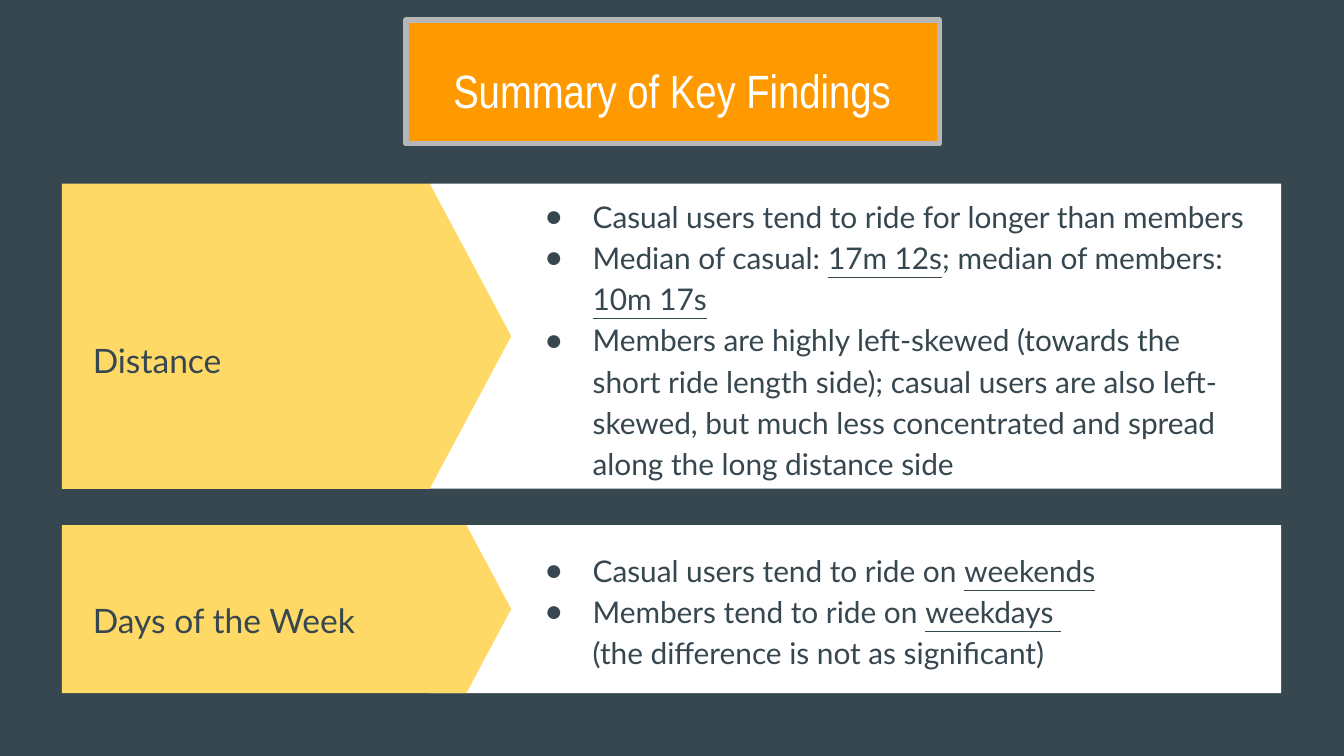
"""Build the key findings slide: a title plate above two labelled rows of bullets."""
from dataclasses import dataclass

from lxml import etree
from pptx import Presentation
from pptx.dml.color import RGBColor
from pptx.enum.shapes import MSO_SHAPE
from pptx.enum.text import MSO_ANCHOR, MSO_AUTO_SIZE, PP_ALIGN
from pptx.oxml.ns import qn
from pptx.util import Pt

RECTANGLE, PENTAGON = MSO_SHAPE.RECTANGLE, MSO_SHAPE.PENTAGON
TOP, MIDDLE = MSO_ANCHOR.TOP, MSO_ANCHOR.MIDDLE
LEFT, CENTER = PP_ALIGN.LEFT, PP_ALIGN.CENTER
NO_AUTO_SIZE = MSO_AUTO_SIZE.NONE
COMPARISON_LAYOUT = 4


@dataclass(frozen=True)
class Theme:
    """Colours, fonts and type sizes."""
    dark: str = "37474F"
    white: str = "FFFFFF"
    yellow: str = "FFD966"
    orange: str = "FF9900"
    gray: str = "B7B7B7"
    title_font: str = "Arial Narrow"
    body_font: str = "Lato"
    title_size: int = 25
    label_size: int = 18
    bullet_size: int = 16


THEME = Theme()
TITLE = "Summary of Key Findings"
ROWS = [
    {
        "label": "Distance", "top": 98.4, "height": 163.5,
        "label_box": (98.4, 188.6), "bullet_box": (101.5, 158.4),
        "bullets": [
            "Casual users tend to ride for longer than members",
            "Median of casual: _17m 12s_; median of members: _10m 17s_",
            "Members are highly left-skewed (towards the short ride length side); "
            "casual users are also left-skewed, but much less concentrated and "
            "spread along the long distance side",
        ],
    },
    {
        "label": "Days of the Week", "top": 281.3, "height": 90,
        "label_box": (287.3, 90), "bullet_box": (281.3, 90),
        "bullets": [
            "Casual users tend to ride on _weekends_",
            "Members tend to ride on _weekdays _\n(the difference is not as significant)",
        ],
    },
]
PANEL_LEFT, PANEL_WIDTH = 230.4, 456
ARROW_LEFT, ARROW_WIDTH = 33.2, 240.7
LABEL_LEFT, LABEL_WIDTH = 42.5, 190.8
BULLET_LEFT, BULLET_WIDTH = 274.3, 402.5


def add_block(slide, kind, box, color):
    """Add a plain filled shape."""
    shape = slide.shapes.add_shape(kind, *map(Pt, box))
    shape.shadow.inherit = False
    shape.fill.solid()
    shape.fill.fore_color.rgb = RGBColor.from_string(color)
    shape.line.fill.background()
    return shape


def place(slide, placeholder, box, anchor):
    """Move a placeholder to its box, in front of the shapes drawn so far."""
    placeholder.left, placeholder.top, placeholder.width, placeholder.height = map(Pt, box)
    slide.shapes.element.append(placeholder.element)
    frame = placeholder.text_frame
    frame.word_wrap = True
    frame.auto_size = NO_AUTO_SIZE
    frame.vertical_anchor = anchor
    frame.margin_left = frame.margin_right = frame.margin_top = frame.margin_bottom = Pt(7.2)
    return frame


def format_paragraph(paragraph, font, size, color, alignment=LEFT, spacing=1.0):
    """Set spacing and type on a paragraph and its runs."""
    paragraph.alignment = alignment
    paragraph.line_spacing = spacing
    paragraph.space_before = Pt(0)
    for run in paragraph.runs:
        run.font.name = font
        run.font.size = Pt(size)
        run.font.bold = False
        run.font.color.rgb = RGBColor.from_string(color)


def add_marked_runs(paragraph, text):
    """Add runs, underlining the parts between underscores."""
    for index, part in enumerate(text.split("_")):
        if part.startswith("\n"):
            paragraph.add_line_break()
        if part:
            run = paragraph.add_run()
            run.text = part.strip("\n")
            run.font.underline = index % 2 == 1


def set_bullet(paragraph):
    """Give a paragraph a hanging round bullet."""
    properties = paragraph._p.get_or_add_pPr()
    properties.set("marL", str(Pt(36)))
    properties.set("indent", str(Pt(-25.6)))
    color = etree.SubElement(properties, qn("a:buClr"))
    etree.SubElement(color, qn("a:srgbClr"), val=THEME.dark)
    etree.SubElement(properties, qn("a:buChar"), char="●")


def add_row(slide, row, label, bullets):
    """Draw one row: white panel, yellow arrow, label and bullets."""
    top, height = row["top"], row["height"]
    add_block(slide, RECTANGLE, (PANEL_LEFT, top, PANEL_WIDTH, height), THEME.white)
    arrow = add_block(slide, PENTAGON, (ARROW_LEFT, top, ARROW_WIDTH, height), THEME.yellow)
    arrow.adjustments[0] = 0.267

    label_top, label_height = row["label_box"]
    frame = place(slide, label, (LABEL_LEFT, label_top, LABEL_WIDTH, label_height), MIDDLE)
    frame.text = row["label"]
    format_paragraph(frame.paragraphs[0], THEME.body_font, THEME.label_size, THEME.dark)

    bullet_top, bullet_height = row["bullet_box"]
    frame = place(slide, bullets, (BULLET_LEFT, bullet_top, BULLET_WIDTH, bullet_height), MIDDLE)
    for index, text in enumerate(row["bullets"]):
        paragraph = frame.add_paragraph() if index else frame.paragraphs[0]
        add_marked_runs(paragraph, text)
        format_paragraph(paragraph, THEME.body_font, THEME.bullet_size, THEME.dark, spacing=1.15)
        set_bullet(paragraph)


def add_title(slide):
    """Draw the title plate and its text."""
    plate = add_block(slide, RECTANGLE, (217.5, 10.8, 285.8, 66.2), THEME.orange)
    plate.line.color.rgb = RGBColor.from_string(THEME.gray)
    plate.line.width = Pt(3)
    frame = place(slide, slide.shapes.title, (173.5, 21.6, 373, 44.6), TOP)
    frame.text = TITLE
    paragraph = frame.paragraphs[0]
    format_paragraph(paragraph, THEME.title_font, THEME.title_size, THEME.white, CENTER, 1.15)
    paragraph.space_after = Pt(16)


def main():
    """Build and save the presentation."""
    presentation = Presentation()
    presentation.slide_width, presentation.slide_height = Pt(720), Pt(405)
    slide = presentation.slides.add_slide(presentation.slide_layouts[COMPARISON_LAYOUT])
    slide.background.fill.solid()
    slide.background.fill.fore_color.rgb = RGBColor.from_string(THEME.dark)
    bodies = [item for item in slide.placeholders if item.placeholder_format.idx in range(1, 5)]
    for row, label, bullets in zip(ROWS, bodies[::2], bodies[1::2]):
        add_row(slide, row, label, bullets)
    add_title(slide)
    presentation.save("out.pptx")


if __name__ == "__main__":
    main()
